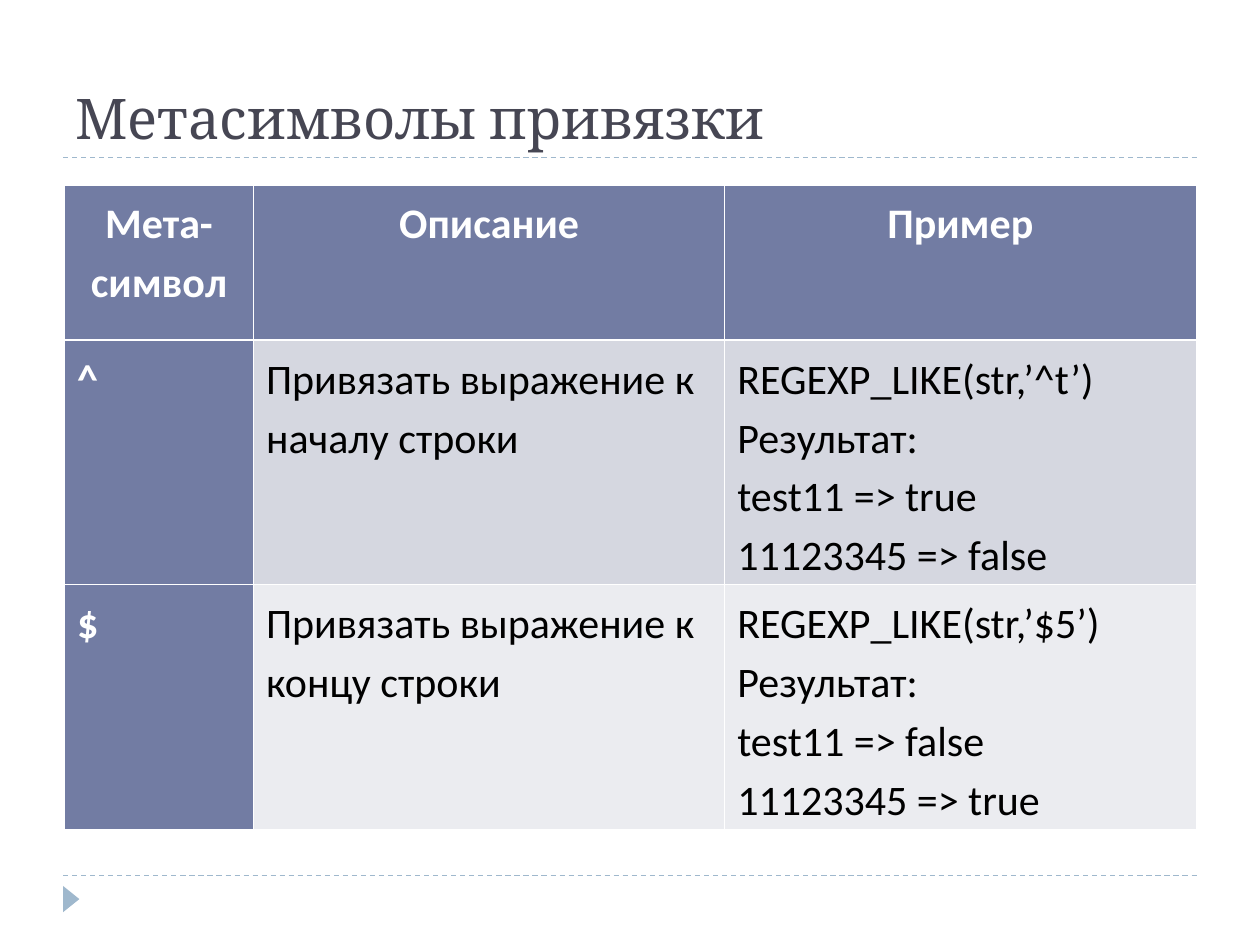
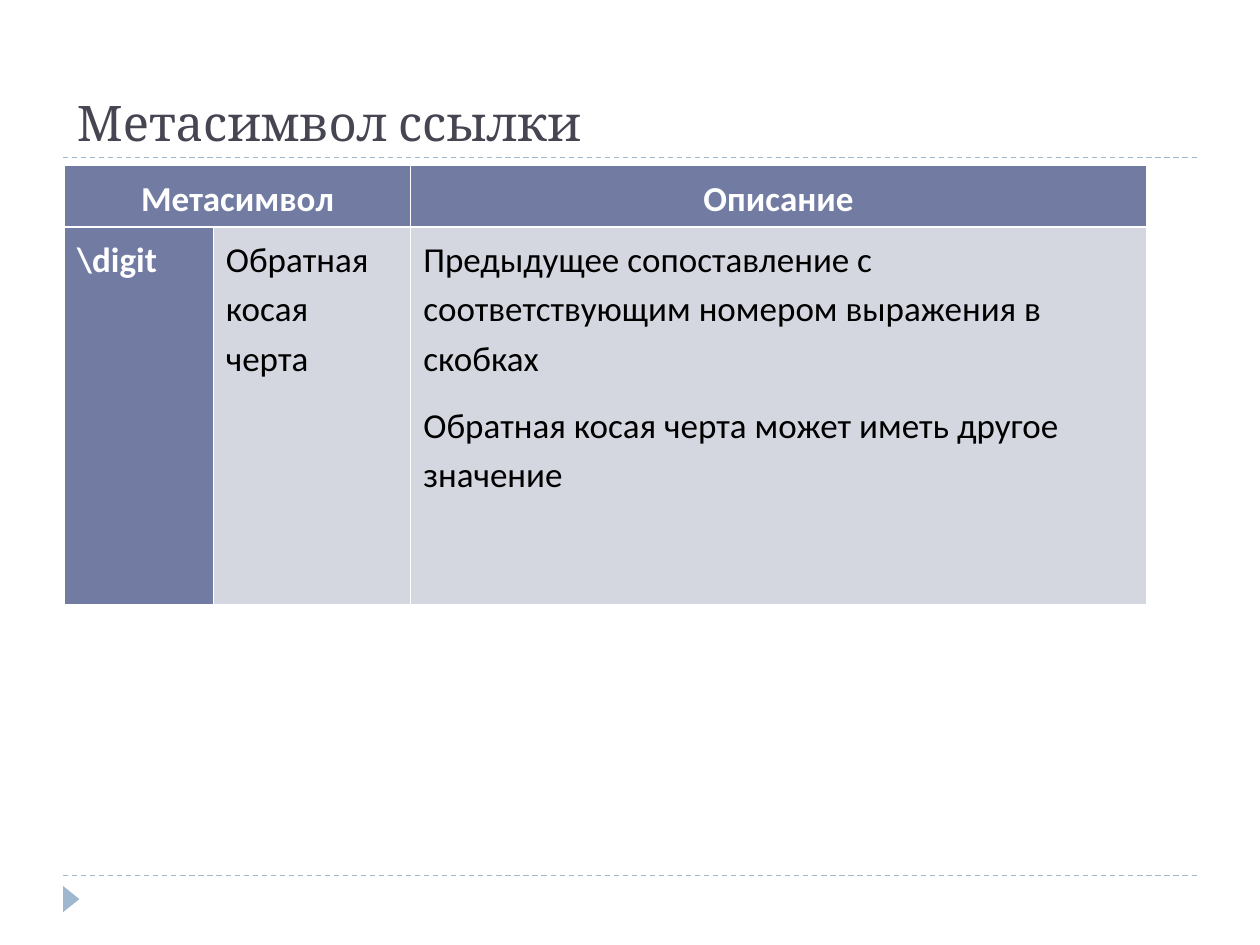
from lxml.etree import SubElement
from pptx import Presentation
from pptx.dml.color import RGBColor
from pptx.enum.dml import MSO_LINE_DASH_STYLE as Dash
from pptx.enum.shapes import MSO_CONNECTOR as Connector, MSO_SHAPE as Shape
from pptx.enum.text import MSO_ANCHOR as Anchor, PP_ALIGN as Align
from pptx.oxml.ns import qn
from pptx.util import Cm, Pt

COLOURS = {
    "title": "464653",
    "accent": "9FB8CD",
    "head": "727CA3",
    "odd_row": "D5D7E0",
    "even_row": "EBECF0",
    "light": "FFFFFF",
    "dark": "000000",
}
MARGIN = 1.27
SLIDE_WIDTH, SLIDE_HEIGHT = 25.4, 19.05
RULES = (3.18, 17.65)
TABLE_LEFT = 1.3
THIN, THICK = 0.45, 1.47


def colour(name):
    return RGBColor.from_string(COLOURS[name])


def apply(target, values):
    for name, value in values.items():
        setattr(target, name, value)


def write(paragraph, text, font_name, size, colour_name, bold=False):
    paragraph.text = text
    for run in paragraph.runs:
        apply(run.font, {"name": font_name, "size": Pt(size), "bold": bold})
        run.font.color.rgb = colour(colour_name)


# Shared frame: dashed rules, corner marker, title
def add_rule(slide, y):
    rule = slide.shapes.add_connector(
        Connector.STRAIGHT, Cm(MARGIN), Cm(y), Cm(SLIDE_WIDTH - MARGIN), Cm(y))
    apply(rule.line, {"width": Pt(0.74), "dash_style": Dash.DASH})
    rule.line.color.rgb = colour("accent")
    SubElement(rule._element.spPr, qn("a:effectLst"))


def add_marker(slide):
    marker = slide.shapes.add_shape(
        Shape.ISOSCELES_TRIANGLE, Cm(1.17), Cm(17.96), Cm(0.53), Cm(0.33))
    marker.rotation = 90
    marker.shadow.inherit = False
    marker.fill.solid()
    marker.fill.fore_color.rgb = colour("accent")
    marker.line.fill.background()


def add_title(slide, text, size, left, width):
    title = slide.shapes.add_textbox(Cm(left), Cm(0.43), Cm(width), Cm(2.74))
    apply(title.text_frame, {"word_wrap": True, "vertical_anchor": Anchor.BOTTOM})
    write(title.text_frame.paragraphs[0], text, "Cambria", size, "title")


def add_framed_slide(deck, title, size, left=MARGIN, width=SLIDE_WIDTH - 2 * MARGIN):
    slide = deck.slides.add_slide(deck.slide_layouts[6])
    for y in RULES:
        add_rule(slide, y)
    add_marker(slide)
    add_title(slide, title, size, left, width)
    return slide


# Table: header row and first column dark, body rows banded
def add_borders(cell, row):
    widths = {
        "L": THIN,
        "R": THIN,
        "T": THICK if row == 1 else THIN,
        "B": THICK if row == 0 else THIN,
    }
    properties = cell._tc.get_or_add_tcPr()
    for side, width in widths.items():
        border = SubElement(properties, qn(f"a:ln{side}"), w=str(Pt(width)))
        fill = SubElement(border, qn("a:solidFill"))
        SubElement(fill, qn("a:srgbClr"), val=COLOURS["light"])


def fill_cell(cell, paragraphs, row, column, size):
    is_head = row == 0 or column == 0
    add_borders(cell, row)
    cell.fill.solid()
    band = "odd_row" if row % 2 else "even_row"
    cell.fill.fore_color.rgb = colour("head" if is_head else band)
    frame = cell.text_frame
    for index, text in enumerate(paragraphs):
        paragraph = frame.add_paragraph() if index else frame.paragraphs[0]
        apply(paragraph, {
            "alignment": Align.LEFT if row else Align.CENTER,
            "line_spacing": 1.15,
            "space_after": Pt(10),
        })
        write(paragraph, text, "Calibri", size,
              "light" if is_head else "dark", is_head)


def add_grid(slide, top, widths, heights, rows, size):
    grid = slide.shapes.add_table(
        len(heights), len(widths), Cm(TABLE_LEFT), Cm(top),
        Cm(sum(widths)), Cm(sum(heights))).table
    for column, width in zip(grid.columns, widths):
        column.width = Cm(width)
    for row, height in zip(grid.rows, heights):
        row.height = Cm(height)
    for r, texts in enumerate(rows):
        for c, paragraphs in enumerate(texts):
            fill_cell(grid.cell(r, c), paragraphs, r, c, size)
    return grid


def add_anchor_slide(deck):
    slide = add_framed_slide(deck, "Метасимволы привязки", 32)
    rows = [
        [["Мета-символ"], ["Описание"], ["Пример"]],
        [["^"], ["Привязать выражение к началу строки"],
         ["REGEXP_LIKE(str,’^t’)\nРезультат:\ntest11 => true\n11123345 => false"]],
        [["$"], ["Привязать выражение к концу строки"],
         ["REGEXP_LIKE(str,’$5’)\nРезультат:\ntest11 => false\n11123345 => true"]],
    ]
    add_grid(slide, 3.73, [3.81, 9.5, 9.5], [3.13, 4.83, 4.83], rows, 24)


def add_reference_slide(deck):
    slide = add_framed_slide(deck, "Метасимвол ссылки", 28, 1.3, 23.6)
    rows = [
        [["Метасимвол"], [], ["Описание"]],
        [["\\digit"], ["Обратная косая черта"],
         ["Предыдущее сопоставление с соответствующим номером выражения в скобках",
          "Обратная косая черта может иметь другое значение"]],
    ]
    grid = add_grid(slide, 3.34, [3, 3.98, 14.83], [1.19, 7.62], rows, 20)
    grid.cell(0, 0).merge(grid.cell(0, 1))


def main():
    deck = Presentation()
    apply(deck, {"slide_width": Cm(SLIDE_WIDTH), "slide_height": Cm(SLIDE_HEIGHT)})
    add_anchor_slide(deck)
    add_reference_slide(deck)
    deck.save("out.pptx")


main()
